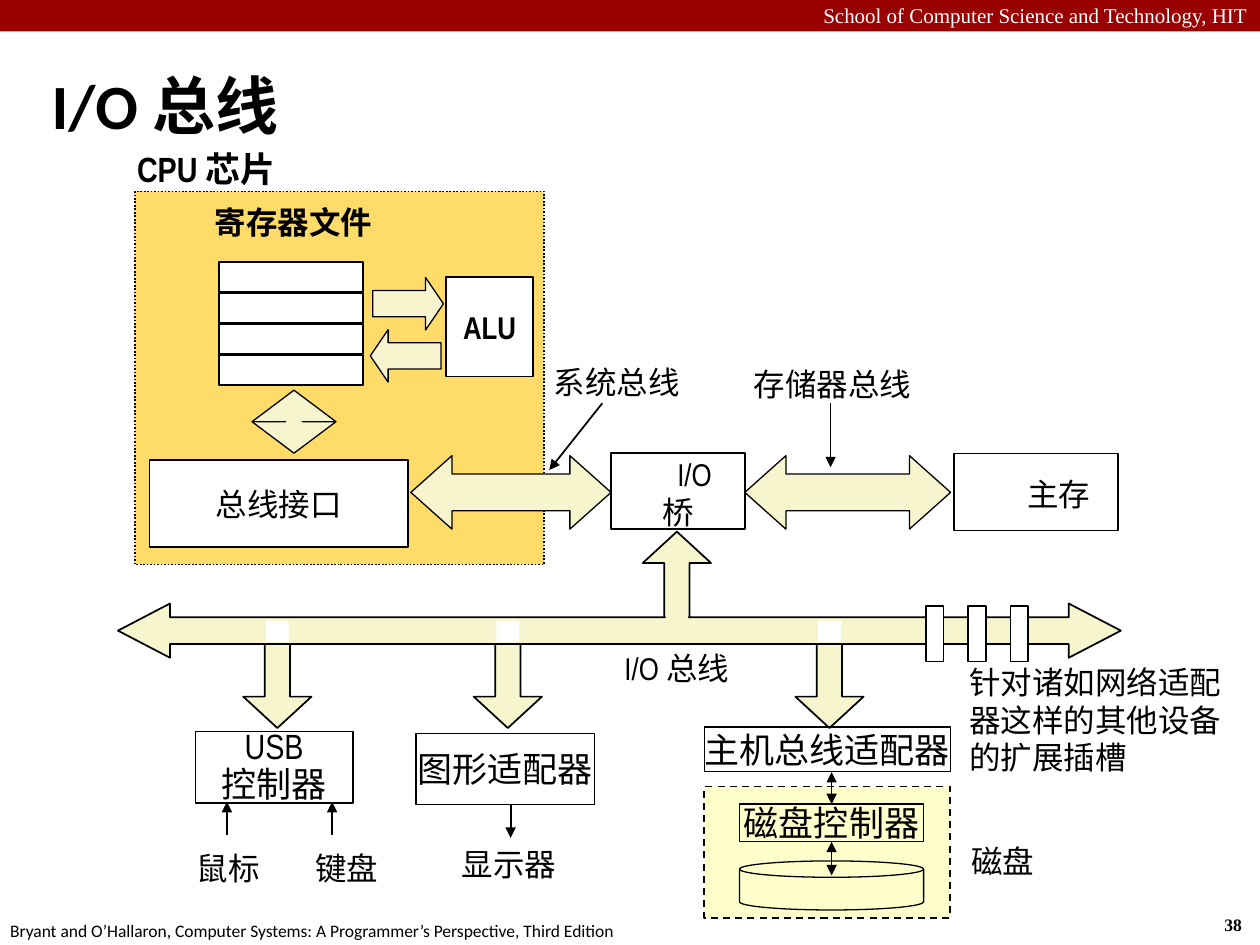
from lxml.etree import SubElement as Sub
from pptx import Presentation
from pptx.dml.color import RGBColor
from pptx.enum.dml import MSO_LINE as Dash
from pptx.enum.shapes import MSO_CONNECTOR as Conn, MSO_SHAPE as Kind
from pptx.enum.text import MSO_ANCHOR as Anchor, PP_ALIGN as Align
from pptx.oxml.ns import qn
from pptx.util import Pt

INK, WHITE, CREAM = "000000", "FFFFFF", "F7F5CD"
NARROW, SANS, SERIF = "Arial Narrow", "Calibri", "Times New Roman"

AREAS = [
    (0, 0, 720, 18, "990000", None, None),
    (402.5, 449.5, 140.5, 75, "FFFFCC", INK, Dash.DASH),
    (77, 109.4, 234, 213.2, "FFDB69", INK, Dash.ROUND_DOT),
]
BOXES = {
    "mem": (545, 259.2, 94, 44, None, 1, ["主存"], 18, dict(ins=(26, 2, 0, 0))),
    "bridge": (349.2, 259, 76.4, 43.2, None, 1, ["I/O桥"], 18,
               dict(ins=(14, 2, 14, 0), dent=19)),
    "port": (85.5, 263, 147.5, 49.5, WHITE, 1, ["总线接口"], 18, {}),
    "alu": (254.9, 158.4, 49.7, 56.8, WHITE, 1, ["ALU"], 18, dict(bold=True)),
    "video": (237.8, 419, 102, 40.7, None, 0.75, ["图形适配器"], 20, dict(wrap=False)),
    "usb": (111.6, 418, 90.2, 41, None, 0.75, ["USB", "控制器"], 20,
            dict(wrap=False, gap=0.9)),
    "disk": (422.6, 459.5, 105.2, 21.5, None, 0.75, ["磁盘控制器"], 20, dict(wrap=False)),
    "host": (402.5, 415.5, 140.5, 25.5, None, 0.75, ["主机总线适配器"], 20,
             dict(wrap=False)),
}
ARROWS = [
    (Kind.LEFT_RIGHT_ARROW, 425.6, 260.4, 117.6, 42, 0.75, (0.5, 0.56)),
    (Kind.LEFT_RIGHT_ARROW, 234.8, 260.4, 114.4, 42, 0.75, (0.5, 0.56)),
    (Kind.RIGHT_ARROW, 213, 158.6, 40.4, 30, 0.75, (0.5, 0.34)),
    (Kind.LEFT_ARROW, 211.6, 188.4, 40.4, 30, 0.75, (0.5, 0.34)),
    (Kind.UP_DOWN_ARROW, 144, 223, 48, 36, 0.75, (0.5, 0.2)),
]
DROPS, RISE = [158.5, 290.2, 474], 386.8
BUS = (Kind.LEFT_RIGHT_ARROW, 67.4, 344.9, 573.1, 31, 1, (0.49, 0.96))
LABELS = [
    (0, 0, 720, 18, "School of Computer Science and Technology, HIT", 12,
     dict(face=SERIF, tone=WHITE, align=Align.RIGHT, ins=(7.2, 1.4, 7.2, 0))),
    (692.6, 519, 26.6, 19.4, "38", 10,
     dict(face=SERIF, bold=True, wrap=False, ins=(7.2, 3.6, 7.2, 3.6))),
    (0, 522, 364, 18,
     "Bryant and O’Hallaron, Computer Systems: A Programmer’s Perspective, Third Edition",
     10, dict(face=SANS, wrap=False, ins=(5.8, 3.6, 0, 3.6))),
    (29.5, 29.5, 684.7, 59.8, "I/O 总线", 36,
     dict(face=SANS, bold=True, anchor=Anchor.MIDDLE)),
    (122.8, 116, 93, 21.6, "寄存器文件", 18, dict(bold=True)),
    (78.3, 84.3, 94.3, 24.5, "CPU 芯片", 20, dict(bold=True)),
    (316.4, 207.4, 76.3, 21.6, "系统总线", 18, {}),
    (430.8, 208.8, 117.4, 21.6, "存储器总线", 18, {}),
    (112.6, 485.3, 50, 21.6, "鼠标", 18, {}),
    (180.2, 485.3, 50, 21.6, "键盘", 18, {}),
    (263.8, 483.1, 57, 21.6, "显示器", 18, {}),
    (347.8, 370.8, 77.8, 21.6, "I/O 总线", 18, dict(align=Align.CENTER)),
    (554, 378.7, 148.3, 65.5, "针对诸如网络适配器这样的其他设备的扩展插槽", 18, {}),
    (547.9, 477.4, 50.4, 28.8, "磁盘", 18, dict(face=SANS, ins=(7.2, 3.6, 7.2, 3.6))),
]
WIRES = [
    (344.2, 230.4, 313.9, 268.6), (474.6, 230.4, 474.6, 267),
    (129.7, 477.2, 129.7, 458.2), (189.8, 477.2, 189.8, 458.2),
    (291.8, 460, 291.8, 478.8),
]


def color(code):
    return RGBColor.from_string(code)


def draw(kind, x, y, w, h, fill=None, line=None, width=1, dash=None, adj=()):
    form = page.add_shape(kind, Pt(x), Pt(y), Pt(w), Pt(h))
    form.shadow.inherit = False
    for n, part in enumerate(adj):
        form.adjustments[n] = part
    if fill:
        form.fill.solid()
        form.fill.fore_color.rgb = color(fill)
    else:
        form.fill.background()
    if line:
        form.line.color.rgb = color(line)
        form.line.width = Pt(width)
        if dash:
            form.line.dash_style = dash
    else:
        form.line.fill.background()
    return form


def write(form, rows, size, face=NARROW, tone=INK, bold=False, align=Align.LEFT,
          anchor=Anchor.TOP, ins=(0, 0, 0, 0), wrap=True, dent=0, gap=None):
    frame = form.text_frame
    frame.word_wrap, frame.vertical_anchor = wrap, anchor
    (frame.margin_left, frame.margin_top,
     frame.margin_right, frame.margin_bottom) = map(Pt, ins)
    for n, text in enumerate(rows):
        para = frame.add_paragraph() if n else frame.paragraphs[0]
        para.alignment = align
        if gap:
            para.line_spacing = gap
        if dent:
            para._p.get_or_add_pPr().set("indent", str(Pt(dent)))
        run = para.add_run()
        run.text = text
        font = run.font
        font.name, font.size, font.bold = face, Pt(size), bold
        font.color.rgb = color(tone)


def wire(x, y, x2, y2, both=False):
    link = page.add_connector(Conn.STRAIGHT, Pt(x), Pt(y), Pt(x2), Pt(y2))
    link.line.color.rgb = color(INK)
    link.line.width = Pt(1)
    stroke = link.line._get_or_add_ln()
    for end in ("headEnd", "tailEnd") if both else ("tailEnd",):
        Sub(stroke, qn("a:" + end), type="triangle")
    Sub(link._element.spPr, qn("a:effectLst"))
    return link


def arrow(kind, x, y, w, h, width, adj):
    draw(kind, x, y, w, h, CREAM, INK, width, adj=adj)


deck = Presentation()
deck.slide_width, deck.slide_height = Pt(720), Pt(540)
page = deck.slides.add_slide(deck.slide_layouts[6]).shapes

for x, y, w, h, fill, line, dash in AREAS:
    draw(Kind.RECTANGLE, x, y, w, h, fill, line, 1, dash)
for item in ARROWS:
    arrow(*item)
for mid in DROPS:
    arrow(Kind.DOWN_ARROW, mid - 19.5, 362, 39, 54, 1, (0.37, 0.46))
arrow(Kind.UP_ARROW, RISE - 19.5, 303.8, 39, 54, 1, (0.37, 0.46))
arrow(*BUS)
for mid in DROPS:
    draw(Kind.RECTANGLE, mid - 6.5, 354.6, 13, 12.2, WHITE)
draw(Kind.RECTANGLE, RISE - 6.5, 352, 13, 12.2, CREAM)
for n in range(3):
    draw(Kind.RECTANGLE, 529.2 + 24.1 * n, 346.3, 10, 31.7, WHITE, INK)
for n in range(4):
    draw(Kind.RECTANGLE, 125.3, 149.8 + 17.7 * n, 82, 17.3, WHITE, INK)
draw(Kind.FLOWCHART_MAGNETIC_DISK, 422.6, 492, 105.2, 28, None, INK, 0.75)

made = {}
for name, (x, y, w, h, fill, width, rows, size, look) in BOXES.items():
    made[name] = draw(Kind.RECTANGLE, x, y, w, h, fill, INK, width)
    write(made[name], rows, size, align=Align.CENTER, anchor=Anchor.MIDDLE, **look)
for x, y, w, h, text, size, look in LABELS:
    write(page.add_textbox(Pt(x), Pt(y), Pt(w), Pt(h)), [text], size, **look)

for ends in WIRES:
    wire(*ends)
wire(475.2, 441.2, 475.2, 459.5, True).end_connect(made["disk"], 0)
wire(475.2, 481, 475.2, 500.2, True).begin_connect(made["disk"], 2)

deck.save("out.pptx")
